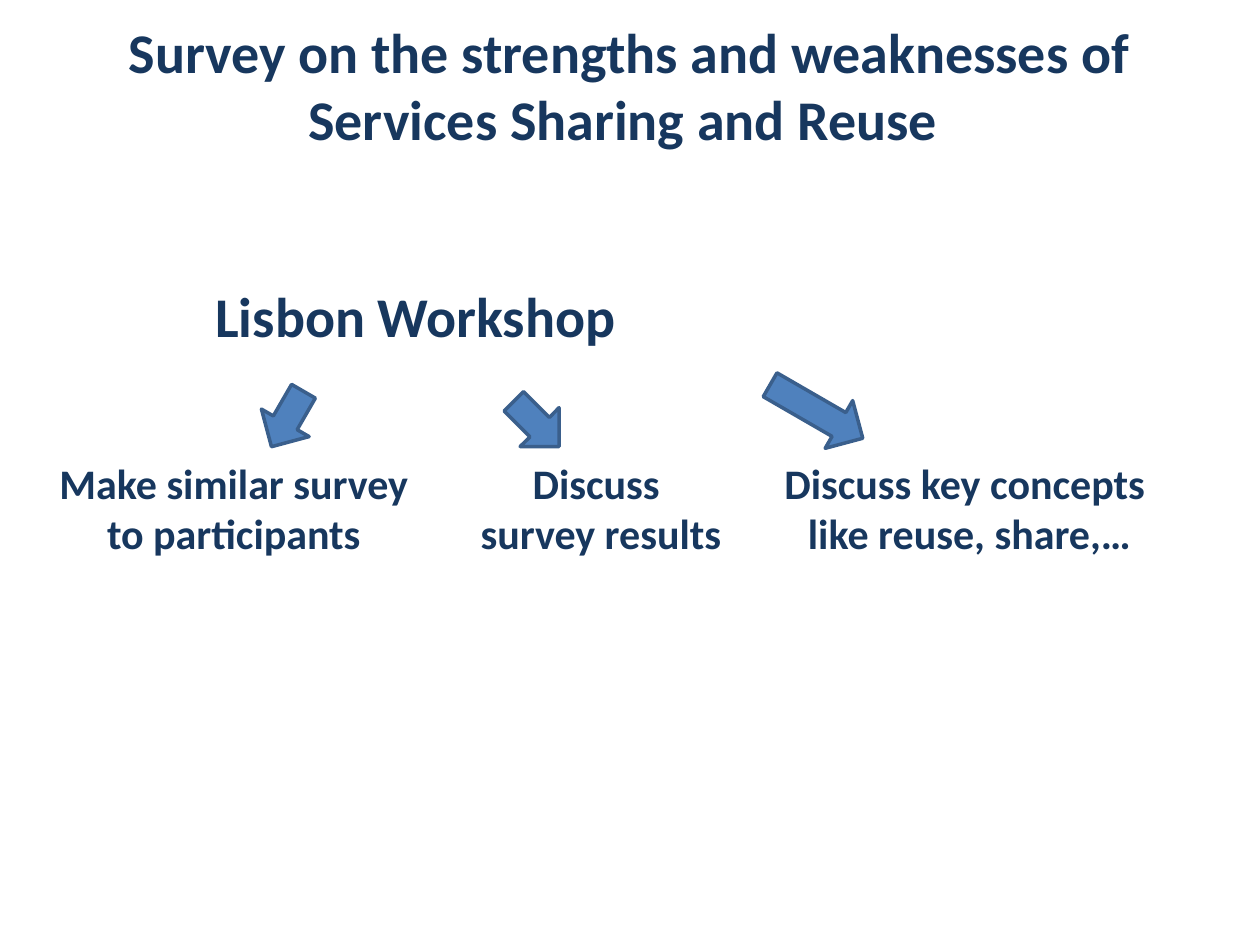
from pptx import Presentation
from pptx.dml.color import RGBColor
from pptx.enum.shapes import MSO_SHAPE
from pptx.enum.text import PP_ALIGN
from pptx.util import Pt

PX = 914400 // 126
LEFT, CENTER = PP_ALIGN.LEFT, PP_ALIGN.CENTER
DOWN_ARROW = MSO_SHAPE.DOWN_ARROW
COLORS = {"text": "17375E", "arrow": "4F81BD", "outline": "3A5F8C"}

deck = Presentation()
deck.slide_width, deck.slide_height = 1260 * PX, 945 * PX
slide = deck.slides.add_slide(deck.slide_layouts[6])


def add_text(lines, box, size=24, aligns=(CENTER, CENTER), wrap=True):
    frame = slide.shapes.add_textbox(*(n * PX for n in box)).text_frame
    frame.word_wrap = wrap
    for i, line in enumerate(lines):
        paragraph = frame.add_paragraph() if i else frame.paragraphs[0]
        paragraph.alignment = aligns[i]
        run = paragraph.add_run()
        run.text = line
        run.font.name = "Calibri"
        run.font.size = Pt(size)
        run.font.bold = True
        run.font.color.rgb = RGBColor.from_string(COLORS["text"])


# Title and workshop heading
add_text(["Survey on the strengths and weaknesses of Services Sharing and Reuse "],
         (74, 11, 1111, 186), size=32)
add_text(["Lisbon Workshop "], (203, 275, 567, 81), size=32, aligns=(LEFT,))

# Workshop activities
activities = [
    (["Make similar survey", "to participants"], 47, 384, LEFT),
    (["Discuss ", "survey results"], 467, 268, CENTER),
    (["Discuss key concepts ", "like reuse, share,…"], 770, 399, CENTER),
]
for lines, left, width, first_align in activities:
    add_text(lines, (left, 451, width, 115), aligns=(first_align, CENTER), wrap=False)

# Arrows from the heading to each activity
for left, top, length, angle in [(260, 387, 64, 30), (509, 392, 64, 315), (789, 358, 107, 300)]:
    arrow = slide.shapes.add_shape(DOWN_ARROW, left * PX, top * PX, 55 * PX, length * PX)
    arrow.rotation = angle
    arrow.shadow.inherit = False
    arrow.fill.solid()
    arrow.fill.fore_color.rgb = RGBColor.from_string(COLORS["arrow"])
    arrow.line.color.rgb = RGBColor.from_string(COLORS["outline"])
    arrow.line.width = Pt(2)

deck.save("out.pptx")
